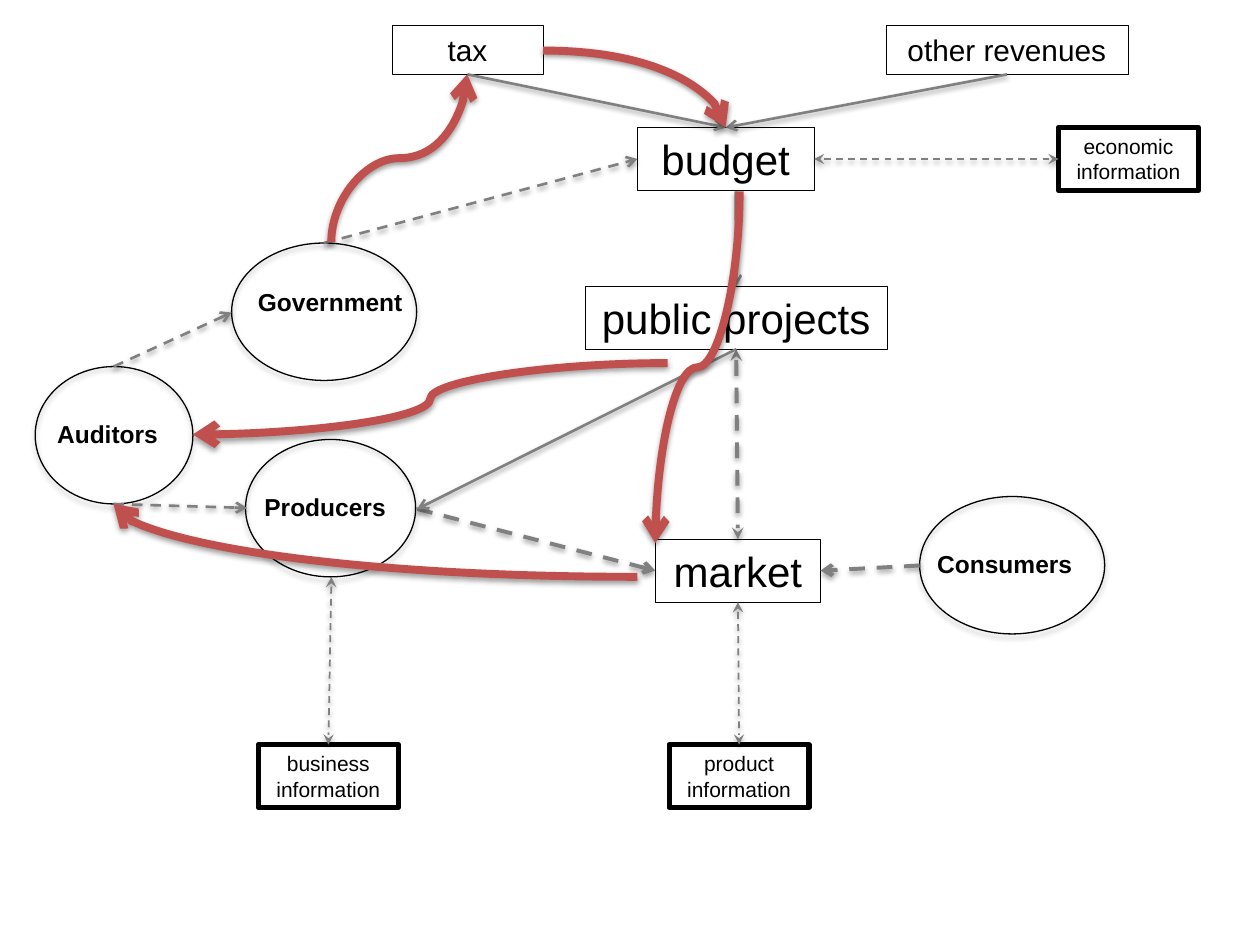
from lxml import etree
from pptx import Presentation
from pptx import util as u
from pptx.dml.color import RGBColor
from pptx.enum import dml, shapes, text
from pptx.oxml import ns

COLORS = {"ink": "000000", "link": "808080", "flow": "C0504D"}

BOXES = {
    "business information": ((5.21, 15.01, 2.82, 1.27), 12, 3),
    "product information": ((13.49, 15.01, 2.82, 1.27), 12, 3),
    "economic information": ((21.34, 2.57, 2.82, 1.27), 12, 3),
    "budget": ((12.85, 2.57, 3.56, 1.27), 24, 0.25),
    "public projects": ((11.79, 5.77, 6.1, 1.27), 24, 0.25),
    "market": ((13.21, 10.87, 3.33, 1.27), 24, 0.25),
    "tax": ((7.9, 0.51, 3.05, 0.99), 17, 0.25),
    "other revenues": ((17.86, 0.51, 4.88, 0.99), 17, 0.25),
}

CENTER, LEFT = text.PP_ALIGN.CENTER, text.PP_ALIGN.LEFT
ACTORS = [
    ("Consumers", (18.54, 10.01, 3.73, 2.77), (0, 0.94, 3.43, 0.86), CENTER),
    ("Government", (4.67, 4.9, 3.73, 2.77), (0.28, 0.76, 3.43, 1.45), LEFT),
    ("Producers", (4.95, 8.86, 3.43, 2.77), (0.03, 0.94, 3.15, 0.86), CENTER),
    ("Auditors", (0.71, 7.39, 3.18, 2.77), (0, 0.94, 2.92, 0.86), CENTER),
]

TOP, LEFT_SIDE, BOTTOM, RIGHT_SIDE = range(4)
PRODUCERS_RIGHT = (8.41, 10.26)
LINKS = [
    (("public projects", BOTTOM), ("market", TOP), 2.25, True, True),
    ((14.83, 3.86), ("public projects", TOP), 1.5, False, False),
    ((6.68, 11.63), ("business information", TOP), 1, True, True),
    (PRODUCERS_RIGHT, ("market", LEFT_SIDE), 2.25, True, False),
    ((18.54, 11.4), ("market", RIGHT_SIDE), 2.25, True, False),
    ((6.53, 4.9), ("budget", LEFT_SIDE), 1.5, True, False),
    (("public projects", BOTTOM), PRODUCERS_RIGHT, 1.5, False, False),
    (("market", BOTTOM), ("product information", TOP), 1, True, True),
    ((2.29, 7.39), (4.67, 6.3), 1.5, True, False),
    ((2.29, 10.16), (4.98, 10.24), 1.5, True, False),
    (("other revenues", BOTTOM), ("budget", TOP), 1.5, False, False),
    (("tax", BOTTOM), ("budget", TOP), 1.5, False, False),
    (("budget", RIGHT_SIDE), ("economic information", LEFT_SIDE), 1, True, True),
]

FLOWS = [
    ((10.95, 1.02), (14.63, 2.57), "curvedConnector2", False),
    ((14.91, 3.86), (13.21, 10.95), "curvedConnector3", True),
    ((6.68, 4.88), (9.42, 1.5), "curvedConnector3", True),
    ((12.85, 11.63), (2.29, 10.16), "curvedConnector2", False),
    ((13.46, 7.32), (3.89, 8.76), "curvedConnector3", False),
]


def color(name):
    """Return the named palette colour."""
    return RGBColor.from_string(COLORS[name])


def cast_shadow(shape, opacity, distance):
    """Give a shape a soft shadow falling straight down."""
    effects = etree.SubElement(shape._element.spPr, ns.qn("a:effectLst"))
    shadow = etree.SubElement(effects, ns.qn("a:outerShdw"), blurRad=str(u.Pt(3.1)),
                              dist=str(u.Pt(distance)), dir="5400000", rotWithShape="0")
    tone = etree.SubElement(shadow, ns.qn("a:srgbClr"), val=COLORS["ink"])
    etree.SubElement(tone, ns.qn("a:alpha"), val=str(opacity * 1000))


def style_outline(shape, width):
    """Leave a shape unfilled with a black outline."""
    shape.fill.background()
    shape.line.color.rgb = color("ink")
    shape.line.width = u.Pt(width)


def write_label(shape, words, size, bold=False, alignment=CENTER):
    """Write one wrapped paragraph into a shape."""
    frame = shape.text_frame
    frame.word_wrap = True
    frame.auto_size = text.MSO_AUTO_SIZE.SHAPE_TO_FIT_TEXT
    paragraph = frame.paragraphs[0]
    paragraph.alignment = alignment
    run = paragraph.add_run()
    run.text = words
    run.font.name = "Arial"
    run.font.size = u.Pt(size)
    run.font.bold = bold
    run.font.color.rgb = color("ink")


def add_box(slide, words, box, size, width):
    """Draw a labelled rectangle in its box."""
    shape = slide.shapes.add_shape(shapes.MSO_SHAPE.RECTANGLE, *map(u.Cm, box))
    shape.shadow.inherit = False
    style_outline(shape, width)
    write_label(shape, words, size)
    return shape


def add_actor(slide, words, box, label_box, alignment):
    """Draw a grouped ellipse and a label placed relative to its box."""
    group = slide.shapes.add_group_shape()
    ellipse = group.shapes.add_shape(shapes.MSO_SHAPE.OVAL, *map(u.Cm, box))
    style_outline(ellipse, 0.75)
    cast_shadow(ellipse, 35, 1.8)
    left, top, width, height = label_box
    label = group.shapes.add_textbox(u.Cm(box[0] + left), u.Cm(box[1] + top),
                                     u.Cm(width), u.Cm(height))
    write_label(label, words, 14, True, alignment)


def style_connector(connector, name, width, dashed=False, head=None, tail="arrow"):
    """Set the stroke, arrowheads and shadow of a connector."""
    connector.line.color.rgb = color(name)
    connector.line.width = u.Pt(width)
    if dashed:
        connector.line.dash_style = dml.MSO_LINE.DASH
    outline = connector.line._get_or_add_ln()
    for tag, kind in (("a:headEnd", head), ("a:tailEnd", tail)):
        if kind:
            etree.SubElement(outline, ns.qn(tag), type=kind)
    cast_shadow(connector, 38, 1.6)


def add_link(slide, boxes, begin, end, width, dashed, two_way):
    """Draw a straight arrow between points or rectangle sides."""
    points = [(0, 0) if place[0] in boxes else place for place in (begin, end)]
    connector = slide.shapes.add_connector(
        shapes.MSO_CONNECTOR.STRAIGHT, *(u.Cm(value) for point in points for value in point))
    for place, connect in ((begin, connector.begin_connect), (end, connector.end_connect)):
        if place[0] in boxes:
            connect(boxes[place[0]], place[1])
    ends = ("stealth", "stealth") if two_way else (None, "arrow")
    style_connector(connector, "link", width, dashed, *ends)


def add_flow(slide, begin, end, preset, vertical):
    """Draw a curved arrow, turned a quarter when it sets out vertically."""
    if vertical:
        center_x, center_y = (begin[0] + end[0]) / 2, (begin[1] + end[1]) / 2
        begin, end = [(center_x + y - center_y, center_y - x + center_x)
                      for x, y in (begin, end)]
    connector = slide.shapes.add_connector(shapes.MSO_CONNECTOR.CURVE,
                                           *map(u.Cm, (*begin, *end)))
    properties = connector._element.spPr
    properties.find(ns.qn("a:prstGeom")).set("prst", preset)
    if vertical:
        properties.find(ns.qn("a:xfrm")).set("rot", "5400000")
    style_connector(connector, "flow", 4.5)


def main():
    """Build the budget flow diagram and save it."""
    presentation = Presentation()
    presentation.slide_width, presentation.slide_height = u.Cm(25.4), u.Cm(19.05)
    slide = presentation.slides.add_slide(presentation.slide_layouts[6])
    boxes = {words: add_box(slide, words, *details) for words, details in BOXES.items()}
    for actor in ACTORS:
        add_actor(slide, *actor)
    for link in LINKS:
        add_link(slide, boxes, *link)
    for flow in FLOWS:
        add_flow(slide, *flow)
    presentation.save("out.pptx")


if __name__ == "__main__":
    main()
